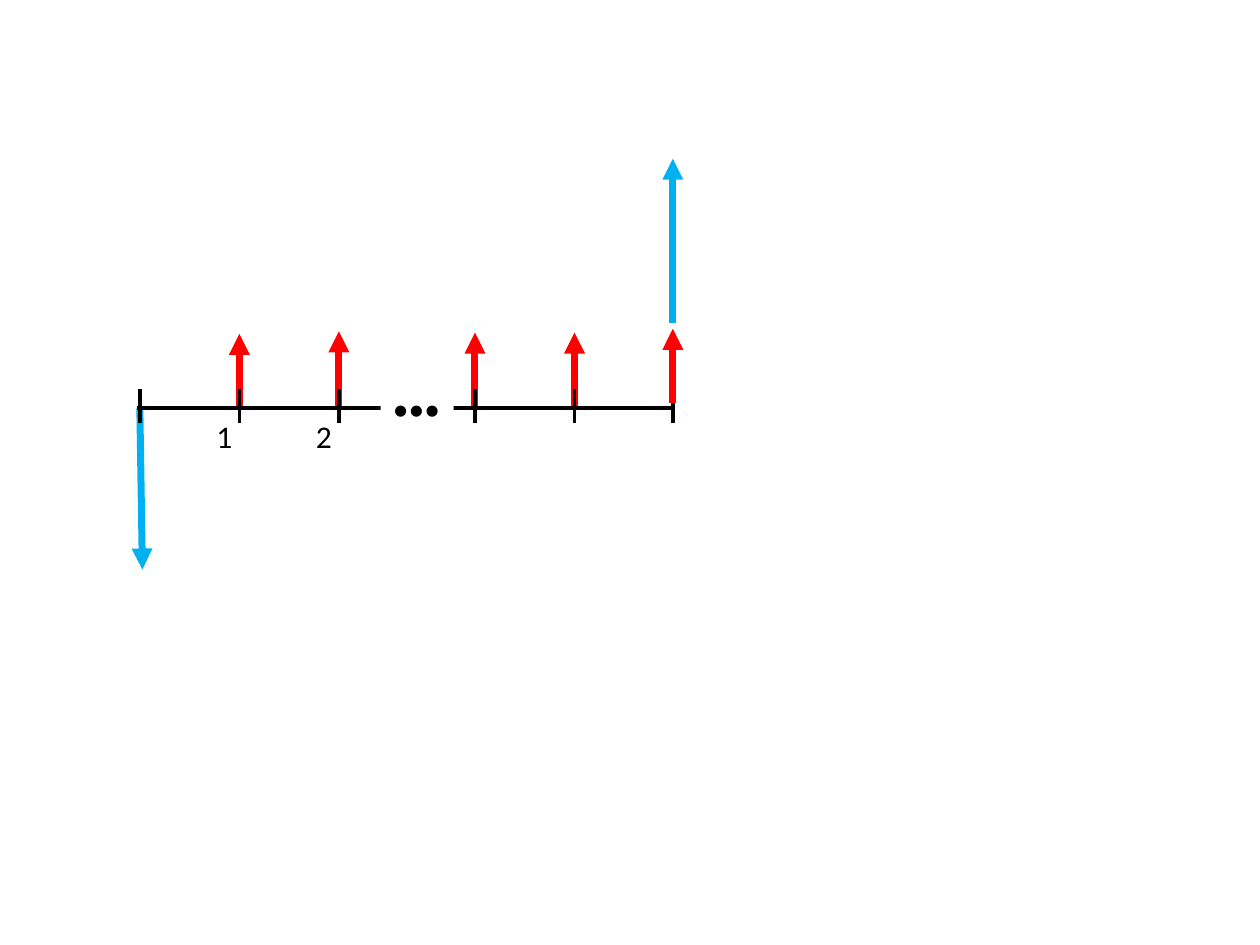
import pptx
import pptx.dml.color
import pptx.enum.shapes
import pptx.enum.text
import pptx.oxml.ns
import pptx.util
from lxml import etree

Inches = pptx.util.Inches
Color = pptx.dml.color.RGBColor
BLACK = Color(0, 0, 0)
WHITE = Color(255, 255, 255)
RED = Color(255, 0, 0)
BLUE = Color(0, 176, 240)

AXIS = 3.24
START, END = 1.11, 5.34
TICKS = [START, 1.9, 2.69, 3.77, 4.56, END]
FLOWS = [
    (1.9, 3.23, 1.9, 2.65, RED),
    (2.69, 3.22, 2.69, 2.63, RED),
    (3.77, 3.23, 3.77, 2.64, RED),
    (4.56, 3.23, 4.56, 2.64, RED),
    (END, 2.56, END, 1.26, BLUE),
    (START, AXIS, 1.13, 4.52, BLUE),
]
LAST = (END, 3.2, END, 2.61, RED)
LABELS = [
    ("1", 1.62, 3.26, 0.33, None),
    ("2", 2.41, 3.26, 0.33, None),
    ("•••", 3.02, 3.04, 0.58, WHITE),
]


def add_line(slide, x1, y1, x2, y2, color, width, arrow=False):
    line = slide.shapes.add_connector(
        pptx.enum.shapes.MSO_CONNECTOR.STRAIGHT,
        Inches(x1), Inches(y1), Inches(x2), Inches(y2))
    line.line.color.rgb = color
    line.line.width = pptx.util.Pt(width)
    qn = pptx.oxml.ns.qn
    if arrow:
        etree.SubElement(line.line._get_or_add_ln(), qn("a:tailEnd"), type="triangle")
    etree.SubElement(line._element.spPr, qn("a:effectLst"))


def add_label(slide, text, x, y, width, fill):
    box = slide.shapes.add_textbox(Inches(x), Inches(y), Inches(width), Inches(0.4))
    if fill is not None:
        box.fill.solid()
        box.fill.fore_color.rgb = fill
    frame = box.text_frame
    frame.word_wrap = False
    frame.auto_size = pptx.enum.text.MSO_AUTO_SIZE.SHAPE_TO_FIT_TEXT
    run = frame.paragraphs[0].add_run()
    run.text = text
    run.font.name = "Calibri"
    run.font.size = pptx.util.Pt(18)
    run.font.color.rgb = BLACK


def main():
    deck = pptx.Presentation()
    deck.slide_width, deck.slide_height = Inches(10), Inches(7.5)
    slide = deck.slides.add_slide(deck.slide_layouts[6])
    for flow in FLOWS:
        add_line(slide, *flow, 4, True)
    add_line(slide, 1.09, AXIS, END, AXIS, BLACK, 2.25)
    for label in LABELS:
        add_label(slide, *label)
    for x in TICKS:
        add_line(slide, x, 3.36, x, 3.09, BLACK, 2)
    add_line(slide, *LAST, 4, True)
    deck.save("out.pptx")


if __name__ == "__main__":
    main()
